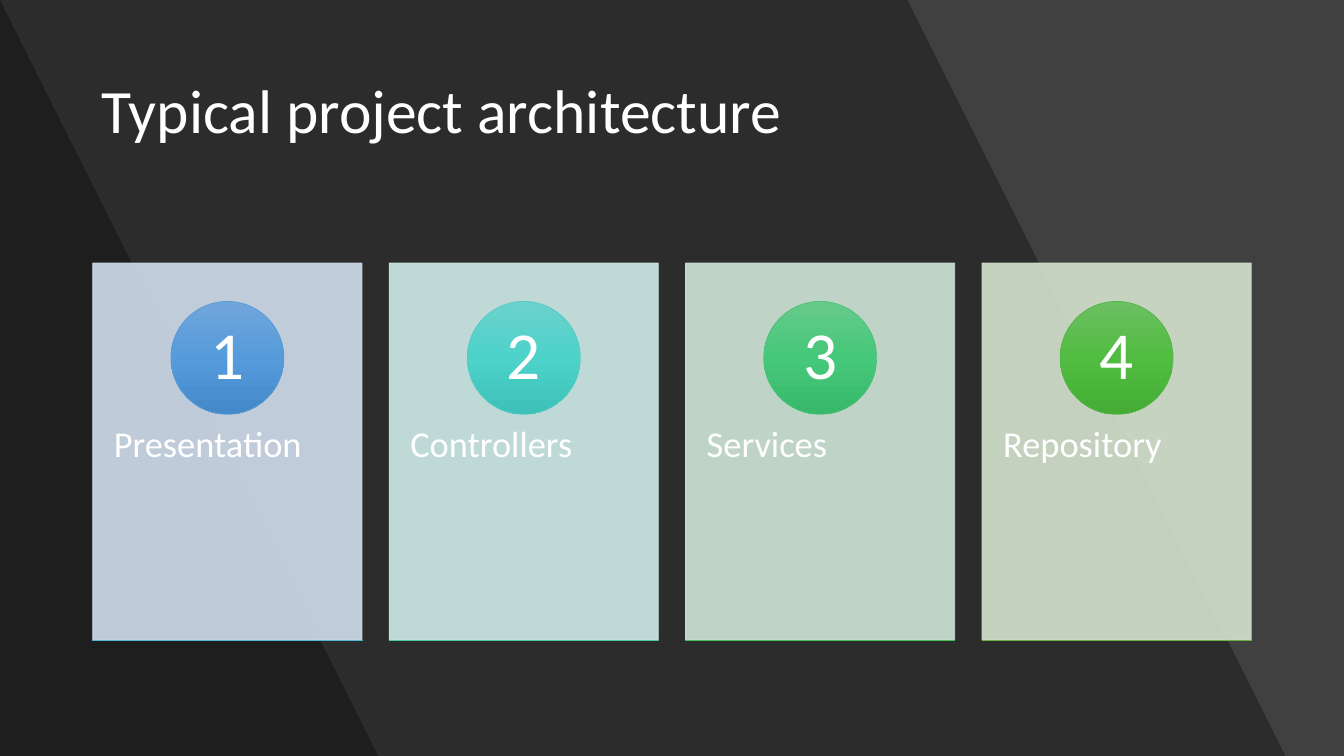
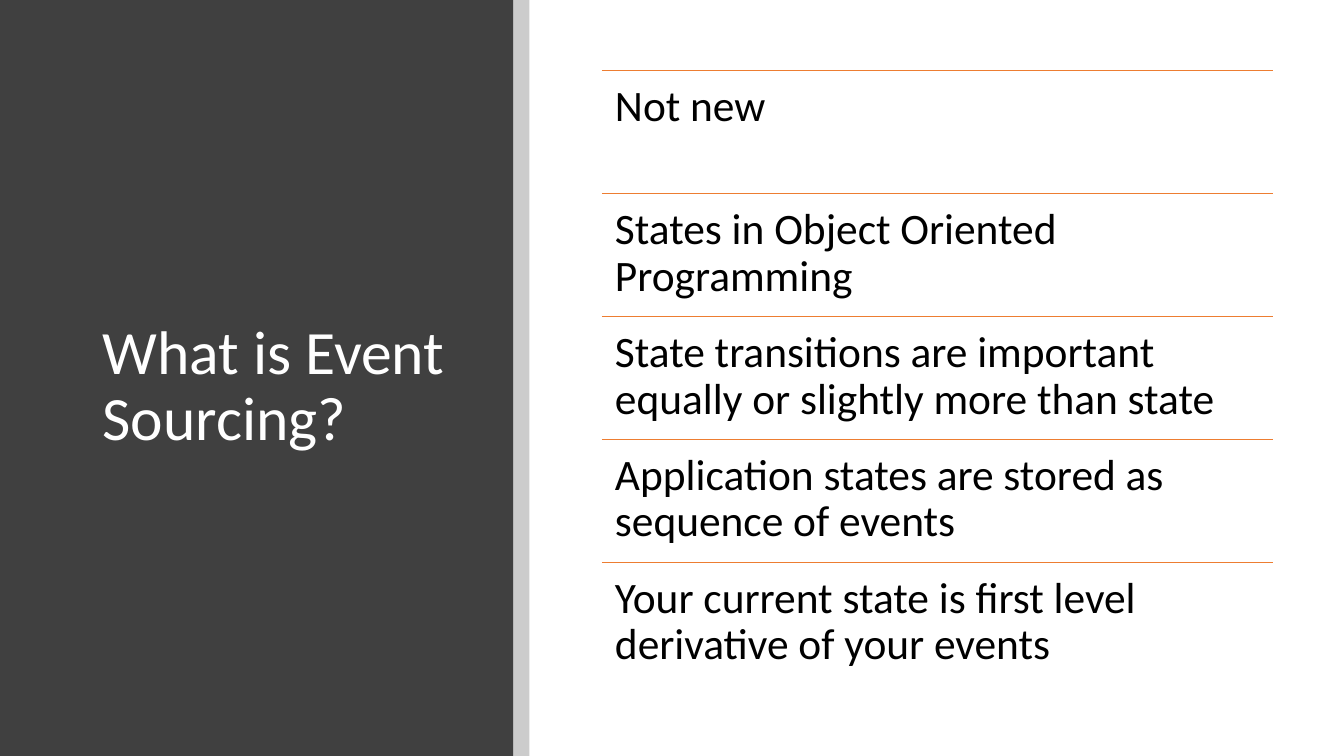
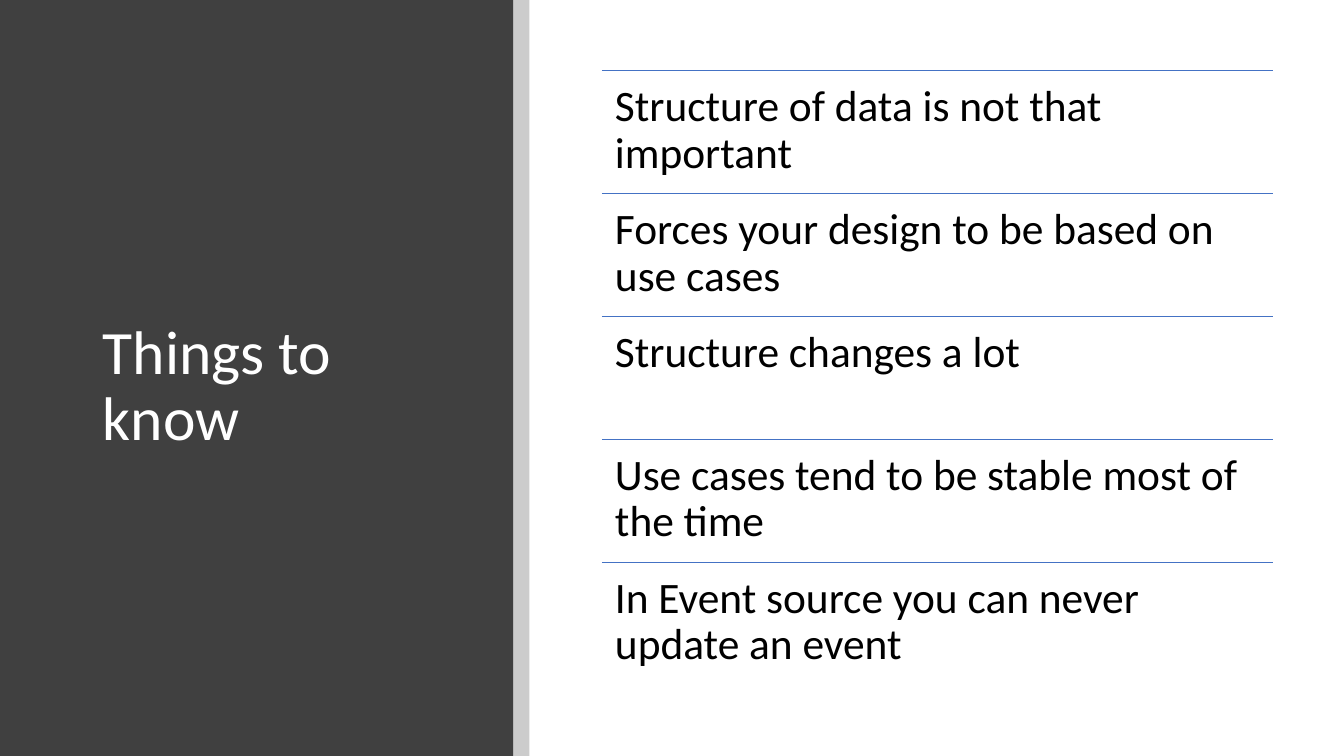
from dataclasses import dataclass

from lxml.etree import SubElement
from pptx import Presentation
from pptx.dml.color import RGBColor
from pptx.enum.shapes import MSO_CONNECTOR, MSO_SHAPE
from pptx.enum.text import MSO_ANCHOR, PP_ALIGN
from pptx.oxml.ns import qn
from pptx.util import Inches, Pt


@dataclass(frozen=True)
class Theme:
    font: str = "Calibri"
    dark: str = "404040"
    light: str = "FFFFFF"
    ink: str = "000000"
    orange: str = "ED7D31"
    blue: str = "4472C4"
    title_size: int = 44
    number_size: int = 48
    item_size: int = 31
    label_size: int = 26
    hairline: float = 0.5


@dataclass(frozen=True)
class Box:
    x: float
    y: float
    w: float
    h: float

    def emu(self) -> tuple:
        return tuple(Inches(v) for v in (self.x, self.y, self.w, self.h))


@dataclass(frozen=True)
class Grid:
    """Cells of equal size, laid out from a first cell at a fixed step."""
    first: Box
    dx: float = 0
    dy: float = 0

    def cell(self, col: int = 0, row: int = 0) -> Box:
        f = self.first
        return Box(f.x + col * self.dx, f.y + row * self.dy, f.w, f.h)


@dataclass(frozen=True)
class Layer:
    label: str
    tint: str
    circle: tuple
    circle_line: str
    strip: tuple
    strip_line: str


@dataclass(frozen=True)
class ListSlide:
    title: str
    color: str
    rule: float
    items: tuple


T = Theme()
W, H = 13.33, 7.5
CARDS = Grid(Box(0.92, 2.61, 2.67, 3.74), dx=2.94)
ROWS = Grid(Box(5.97, 0.7, 6.66, 1.22), dy=1.22)
PANEL = Box(0, 0, 5.09, H)
DIAMETER = 1.12

LAYERS = (
    Layer("Presentation", "D2DEEF", ("71A6DB", "559BDB", "448ACA"), "5B9BD5",
          ("6EBFD7", "51BBD7", "41AAC6"), "57B7D1"),
    Layer("Controllers", "D0ECEA", ("6BD2CC", "4DD2CA", "3DC1B9"), "53CCC5",
          ("68CEAA", "49CDA2", "3ABD92"), "4FC7A0"),
    Layer("Services", "D0E7D8", ("66C98A", "46C87A", "37B86B"), "4CC27B",
          ("64C46F", "43C354", "35B346"), "48BD58"),
    Layer("Repository", "D5E3CF", ("6CBF62", "51BC41", "45AC35"), "55B646",
          ("81B861", "6FB242", "62A336"), "70AD47"),
)

LISTS = (
    ListSlide("What is Event Sourcing?", T.orange, 1, (
        "Not new",
        "States in Object Oriented Programming",
        "State transitions are important equally or slightly more than state",
        "Application states are stored as sequence of events",
        "Your current state is first level derivative of your events",
    )),
    ListSlide("Things to know", T.blue, T.hairline, (
        "Structure of data is not that important",
        "Forces your design to be based on use cases",
        "Structure changes a lot",
        "Use cases tend to be stable most of the time",
        "In Event source you can never update an event",
    )),
)


# Formatting helpers
def rgb(color: str) -> RGBColor:
    return RGBColor.from_string(color)


def fill_gradient(sp, colors: tuple) -> None:
    sp.fill.gradient()
    sp.fill.gradient_angle = 270
    stops = sp.element.spPr.find(qn("a:gradFill")).find(qn("a:gsLst"))
    for stop in list(stops):
        stops.remove(stop)
    for i, color in enumerate(colors):
        stop = SubElement(stops, qn("a:gs"), pos=str(i * 100000 // (len(colors) - 1)))
        SubElement(stop, qn("a:srgbClr"), val=color)


def style(sp, fill, line: str = "", opacity: int = 100) -> None:
    """Fill with one colour or a tuple of gradient stops; outline if given."""
    sp.shadow.inherit = False
    if isinstance(fill, tuple):
        fill_gradient(sp, fill)
    else:
        sp.fill.solid()
        sp.fill.fore_color.rgb = rgb(fill)
    if line:
        sp.line.color.rgb = rgb(line)
        sp.line.width = Pt(T.hairline)
    else:
        sp.line.fill.background()
    if opacity < 100:
        for clr in sp.element.spPr.iter(qn("a:srgbClr")):
            SubElement(clr, qn("a:alpha"), val=str(opacity * 1000))


def write(sp, text: str, *, size: float, color: str = T.light, inset: tuple = (0.1, 0.05),
          anchor=MSO_ANCHOR.TOP, align=PP_ALIGN.LEFT) -> None:
    tf = sp.text_frame
    tf.word_wrap = True
    tf.vertical_anchor = anchor
    tf.margin_left = tf.margin_right = Inches(inset[0])
    tf.margin_top = tf.margin_bottom = Inches(inset[1])
    p = tf.paragraphs[0]
    p.alignment = align
    p.line_spacing = 0.9
    r = p.add_run()
    r.text = text
    r.font.name = T.font
    r.font.size = Pt(size)
    r.font.color.rgb = rgb(color)


# Drawing helpers
def add_text(s, box: Box, text: str, **fmt) -> None:
    write(s.shapes.add_textbox(*box.emu()), text, **fmt)


def add_shape(s, kind, box: Box, fill, line: str = "", opacity: int = 100):
    sp = s.shapes.add_shape(kind, *box.emu())
    style(sp, fill, line, opacity)
    return sp


def add_title(s, box: Box, text: str) -> None:
    add_text(s, box, text, size=T.title_size, anchor=MSO_ANCHOR.MIDDLE)


def add_band(s, top: float, bottom: float) -> None:
    """Shade the slide from its left edge to a slanted right edge."""
    fb = s.shapes.build_freeform(0, 0, scale=Inches(1))
    fb.add_line_segments([(top, 0), (bottom, H), (0, H)], close=True)
    style(fb.convert_to_shape(), T.ink, opacity=30)


def add_rule(s, row: Box, color: str, width: float) -> None:
    x, y, w, _ = row.emu()
    ln = s.shapes.add_connector(MSO_CONNECTOR.STRAIGHT, x, y, x + w, y)
    ln.line.color.rgb = rgb(color)
    ln.line.width = Pt(width)
    SubElement(ln.element.spPr, qn("a:effectLst"))


def add_card(s, number: int, layer: Layer) -> None:
    card = CARDS.cell(col=number - 1)
    add_shape(s, MSO_SHAPE.RECTANGLE, card, layer.tint, layer.tint, 90)
    add_text(s, Box(card.x, card.y + 1.42, card.w, 2.25), layer.label,
             size=T.label_size, inset=(0.21, 0.36))
    circle = Box(card.x + (card.w - DIAMETER) / 2, card.y + 0.38, DIAMETER, DIAMETER)
    sp = add_shape(s, MSO_SHAPE.OVAL, circle, layer.circle, layer.circle_line)
    write(sp, str(number), size=T.number_size, inset=(0.09, 0.01),
          anchor=MSO_ANCHOR.MIDDLE, align=PP_ALIGN.CENTER)
    strip = Box(card.x, card.y + card.h, card.w, 0)
    add_shape(s, MSO_SHAPE.RECTANGLE, strip, layer.strip, layer.strip_line)


# Slides
def new_slide(prs, background: str):
    s = prs.slides.add_slide(prs.slide_layouts[6])
    s.background.fill.solid()
    s.background.fill.fore_color.rgb = rgb(background)
    return s


def architecture_slide(prs) -> None:
    s = new_slide(prs, T.dark)
    add_band(s, 9.42, 12.89)
    add_band(s, 0.44, 3.92)
    add_title(s, Box(0.91, 0.4, 11.51, 1.45), "Typical project architecture")
    for number, layer in enumerate(LAYERS, 1):
        add_card(s, number, layer)


def list_slide(prs, content: ListSlide) -> None:
    s = new_slide(prs, T.light)
    add_shape(s, MSO_SHAPE.RECTANGLE, PANEL, T.dark)
    add_title(s, Box(0.92, 0.89, 3.65, 5.91), content.title)
    add_shape(s, MSO_SHAPE.RECTANGLE, Box(PANEL.w, 0, 0.16, H), T.ink, opacity=20)
    for i, item in enumerate(content.items):
        row = ROWS.cell(row=i)
        add_rule(s, row, content.color, content.rule)
        add_text(s, row, item, size=T.item_size, color=T.ink, inset=(0.13, 0.13))


def main() -> None:
    prs = Presentation()
    prs.slide_width, prs.slide_height = Inches(W), Inches(H)
    architecture_slide(prs)
    for content in LISTS:
        list_slide(prs, content)
    prs.save("out.pptx")


if __name__ == "__main__":
    main()
